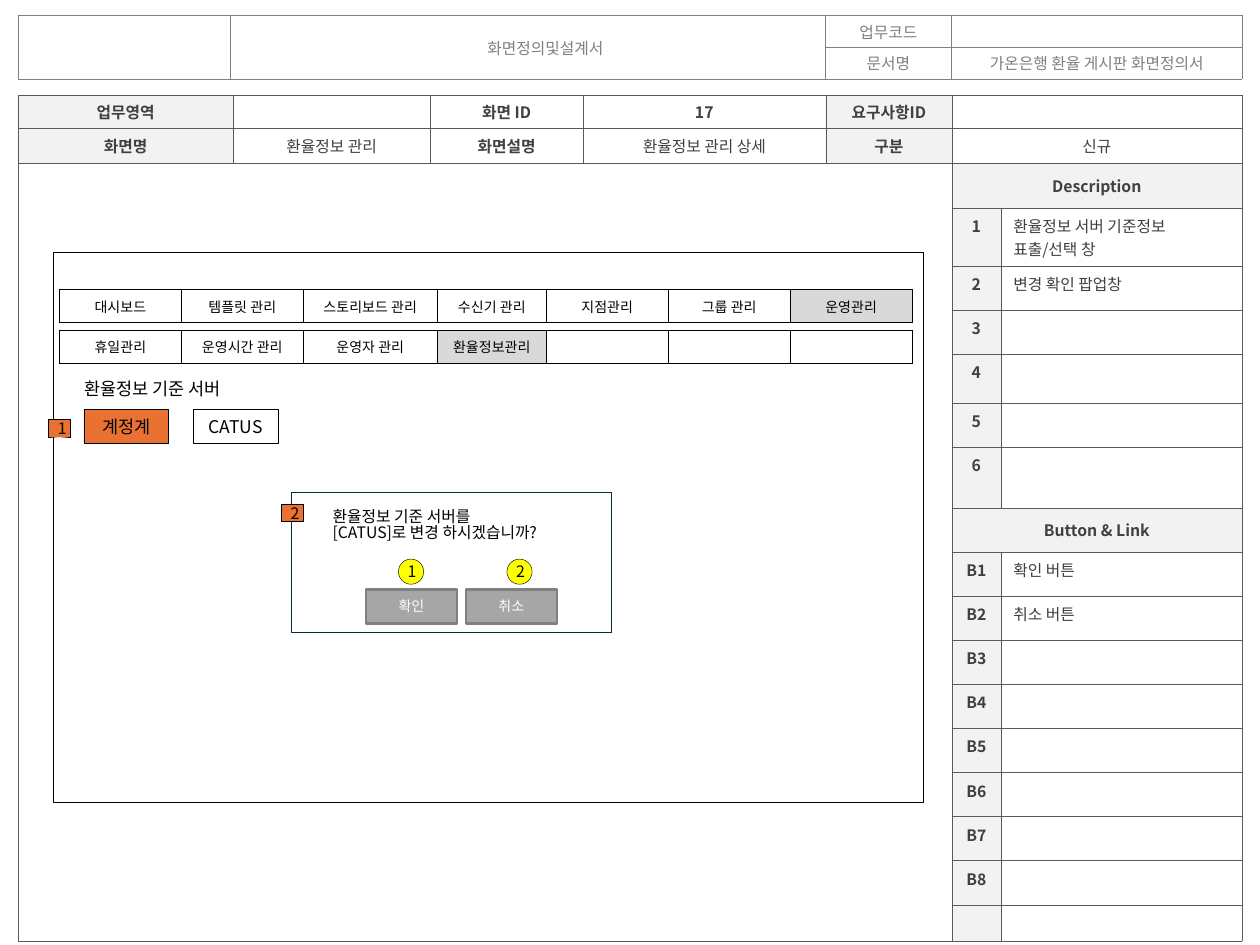
import pptx
import pptx.util
import pptx.dml.color
import pptx.enum.shapes
import pptx.enum.text
import pptx.oxml.ns
import lxml.etree

Pt = pptx.util.Pt
SHAPES = pptx.enum.shapes.MSO_SHAPE
ALIGN = pptx.enum.text.PP_ALIGN
ANCHOR = pptx.enum.text.MSO_ANCHOR

THEME = {
    "font": "Noto Sans CJK KR",
    "small": 8, "body": 9, "large": 10,
    "white": "FFFFFF", "black": "000000", "ink": "404040", "gray": "808080",
    "rule": "595959", "shade": "F2F2F2", "active": "D9D9D9",
    "orange": "E97132", "yellow": "FFFF00", "button": "A6A6A6", "popup": "092A39",
}

HEADER_COLUMNS = [121, 340, 72, 166]
HEADER = [["", "화면정의및설계서", "업무코드", ""],
          ["", "", "문서명", "가온은행 환율 게시판 화면정의서"]]

FORM_COLUMNS = [122.4, 113, 87, 138.9, 72, 28, 137.7]
FORM_TOP = [["업무영역", "", "화면 ID", "17", "요구사항ID", "", ""],
            ["화면명", "환율정보 관리", "화면설명", "환율정보 관리 상세", "구분", "신규", ""]]
FORM_PLAIN = {(1, 1), (1, 3), (1, 5)}
FORM_SHADED = {0, 4}
SIDE = [("Description", "", 25.2),
        ("1", "환율정보 서버 기준정보 표출/선택 창", 33.3),
        ("2", "변경 확인 팝업창", 25.2), ("3", "", 25.2), ("4", "", 28),
        ("5", "", 25.2), ("6", "", 34.6),
        ("Button & Link", "", 25.2),
        ("B1", "확인 버튼", 25.2), ("B2", "취소 버튼", 25.2)]
SIDE += [(f"B{number}", "", 25.2) for number in range(3, 9)] + [("", "", 20.6)]
SECTIONS = {"Description", "Button & Link"}

MENU_COLUMNS = [69.7, 69.7, 76.6, 62.3, 69.7, 69.7, 69.7]
MENUS = [(165.4, "운영관리", ["대시보드", "템플릿 관리", "스토리보드 관리", "수신기 관리",
                          "지점관리", "그룹 관리", "운영관리"]),
         (188.7, "환율정보관리", ["휴일관리", "운영시간 관리", "운영자 관리", "환율정보관리",
                            "", "", ""])]

SCREEN = [
    ("RECTANGLE", (30.3, 144, 497.7, 314.6), "white", "black", 0.5, "", "body", "black"),
    ("RECTANGLE", (48, 233.8, 94, 19.4), "orange", "black", 0.5, "계정계", "large", "black"),
    ("RECTANGLE", (48, 233.8, 48.5, 19.4), "orange", "black", 0.5, "계정계", "large", "black"),
    ("RECTANGLE", (110.4, 233.8, 48.5, 19.4), "white", "black", 0.5, "CATUS", "large", "black"),
    ("RECTANGLE", (166.4, 281.3, 183, 80), "white", "popup", 0.5, "", "body", "black"),
]
SCREEN.pop(1)
BUTTONS = [("확인", 209.2), ("취소", 266.3)]
TAGS = [("1", 27.6, 239.6), ("2", 160.7, 288)]
CIRCLES = [("1", 227.7), ("2", 289.7)]
SCREEN += [("RECTANGLE", (x, 336.8, 52, 19.4), "button", "gray", 1.5, label, "small", "white")
           for label, x in BUTTONS]
SCREEN += [("RECTANGLE", (x, y, 12.5, 10), "orange", "black", 0.25, label, "body", "black")
           for label, x, y in TAGS]
SCREEN += [("OVAL", (x, 319.5, 14.4, 14.4), "yellow", "black", 0.25, label, "body", "black")
           for label, x in CIRCLES]


def color(name):
    return pptx.dml.color.RGBColor.from_string(THEME[name])


def apply(target, values):
    for name, value in values.items():
        setattr(target, name, value)


def write(para, text, size, ink, bold=False, align=ALIGN.CENTER):
    para.alignment = align
    if not text:
        para._p.get_or_add_endParaRPr().set("sz", str(THEME[size] * 100))
        return
    span = para.add_run()
    span.text = text
    apply(span.font, {"size": Pt(THEME[size]), "bold": bold, "name": THEME["font"]})
    span.font.color.rgb = color(ink)
    east = lxml.etree.SubElement(span._r.get_or_add_rPr(), pptx.oxml.ns.qn("a:ea"))
    east.set("typeface", THEME["font"])


def set_borders(cell, ink, width):
    qn = pptx.oxml.ns.qn
    properties = cell._tc.get_or_add_tcPr()
    for side in ("a:lnL", "a:lnR", "a:lnT", "a:lnB"):
        line = lxml.etree.SubElement(properties, qn(side), w=str(Pt(width)))
        fill = lxml.etree.SubElement(line, qn("a:solidFill"))
        lxml.etree.SubElement(fill, qn("a:srgbClr"), val=THEME[ink])


def add_grid(page, left, top, columns, rows, border, width):
    table = page.shapes.add_table(len(rows), len(columns), Pt(left), Pt(top),
                                  Pt(sum(columns)), Pt(sum(rows))).table
    apply(table, {"first_row": False, "horz_banding": False})
    for column, size in zip(table.columns, columns):
        column.width = Pt(size)
    for row, size in zip(table.rows, rows):
        row.height = Pt(size)
    for cell in table.iter_cells():
        set_borders(cell, border, width)
    return table


def fill_cell(cell, text, size, ink, fill="white", bold=False, align=ALIGN.CENTER,
              anchor=ANCHOR.MIDDLE, side=7.2, end=0):
    apply(cell, {"margin_left": Pt(side), "margin_right": Pt(side),
                 "margin_top": Pt(end), "margin_bottom": Pt(end),
                 "vertical_anchor": anchor})
    cell.fill.solid()
    cell.fill.fore_color.rgb = color(fill)
    write(cell.text_frame.paragraphs[0], text, size, ink, bold, align)


def add_header(page):
    table = add_grid(page, 10.6, 8.8, HEADER_COLUMNS, [18.2, 18.2], "gray", 0.25)
    for r, row in enumerate(HEADER):
        for c, text in enumerate(row):
            fill_cell(table.cell(r, c), text, "body", "gray", side=5.8)
    for c in (0, 1):
        table.cell(0, c).merge(table.cell(1, c))
    title = table.cell(0, 1).text_frame.paragraphs[0]
    title._p.get_or_add_pPr().set("marL", str(Pt(20)))


def add_form(page):
    heights = [18.8, 20.1] + [height for _, _, height in SIDE]
    table = add_grid(page, 10.6, 54.6, FORM_COLUMNS, heights, "rule", 0.25)
    for r, row in enumerate(FORM_TOP):
        for c, text in enumerate(row):
            fill_cell(table.cell(r, c), text, "body", "ink",
                      "shade" if c in FORM_SHADED else "white", (r, c) not in FORM_PLAIN)
        table.cell(r, 5).merge(table.cell(r, 6))
    for r, (key, note, _) in enumerate(SIDE, len(FORM_TOP)):
        for c in range(5):
            fill_cell(table.cell(r, c), "", "body", "ink")
        section = key in SECTIONS
        anchor = ANCHOR.MIDDLE if section else ANCHOR.TOP
        fill_cell(table.cell(r, 5), key, "body", "ink", "shade", True,
                  anchor=anchor, side=2.9, end=3.6)
        fill_cell(table.cell(r, 6), note, "body", "ink", align=ALIGN.LEFT,
                  anchor=ANCHOR.TOP, end=3.6)
        if section:
            table.cell(r, 5).merge(table.cell(r, 6))
    table.cell(2, 0).merge(table.cell(len(heights) - 1, 4))


def add_menu(page, top, active, labels):
    table = add_grid(page, 34, top, MENU_COLUMNS, [19], "black", 0.5)
    for c, label in enumerate(labels):
        fill_cell(table.cell(0, c), label, "small", "black",
                  "active" if label == active else "white", anchor=ANCHOR.TOP, end=3.6)


def add_box(page, kind, place, fill, line, width, text, size, ink):
    box = page.shapes.add_shape(getattr(SHAPES, kind), *map(Pt, place))
    box.shadow.inherit = False
    box.fill.solid()
    box.fill.fore_color.rgb = color(fill)
    box.line.color.rgb = color(line)
    box.line.width = Pt(width)
    box.text_frame.vertical_anchor = ANCHOR.MIDDLE
    write(box.text_frame.paragraphs[0], text, size, ink)


def add_text(page, place, lines, size, spacing, anchor):
    frame = page.shapes.add_textbox(*map(Pt, place)).text_frame
    apply(frame, {"word_wrap": True, "vertical_anchor": anchor})
    for index, text in enumerate(lines):
        para = frame.add_paragraph() if index else frame.paragraphs[0]
        para.line_spacing = spacing
        write(para, text, size, "black", align=ALIGN.LEFT)


def main():
    deck = pptx.Presentation()
    apply(deck, {"slide_width": Pt(720), "slide_height": Pt(540)})
    page = deck.slides.add_slide(deck.slide_layouts[6])
    add_header(page)
    add_form(page)
    for box in SCREEN:
        add_box(page, *box)
    for menu in MENUS:
        add_menu(page, *menu)
    add_text(page, (41, 212.4, 216.7, 19.4), ["환율정보 기준 서버"], "large", 1.0, ANCHOR.MIDDLE)
    add_text(page, (183, 288, 152, 29),
             ["환율정보 기준 서버를", "[CATUS]로 변경 하시겠습니까?"], "body", 0.83, ANCHOR.TOP)
    deck.save("out.pptx")


if __name__ == "__main__":
    main()
